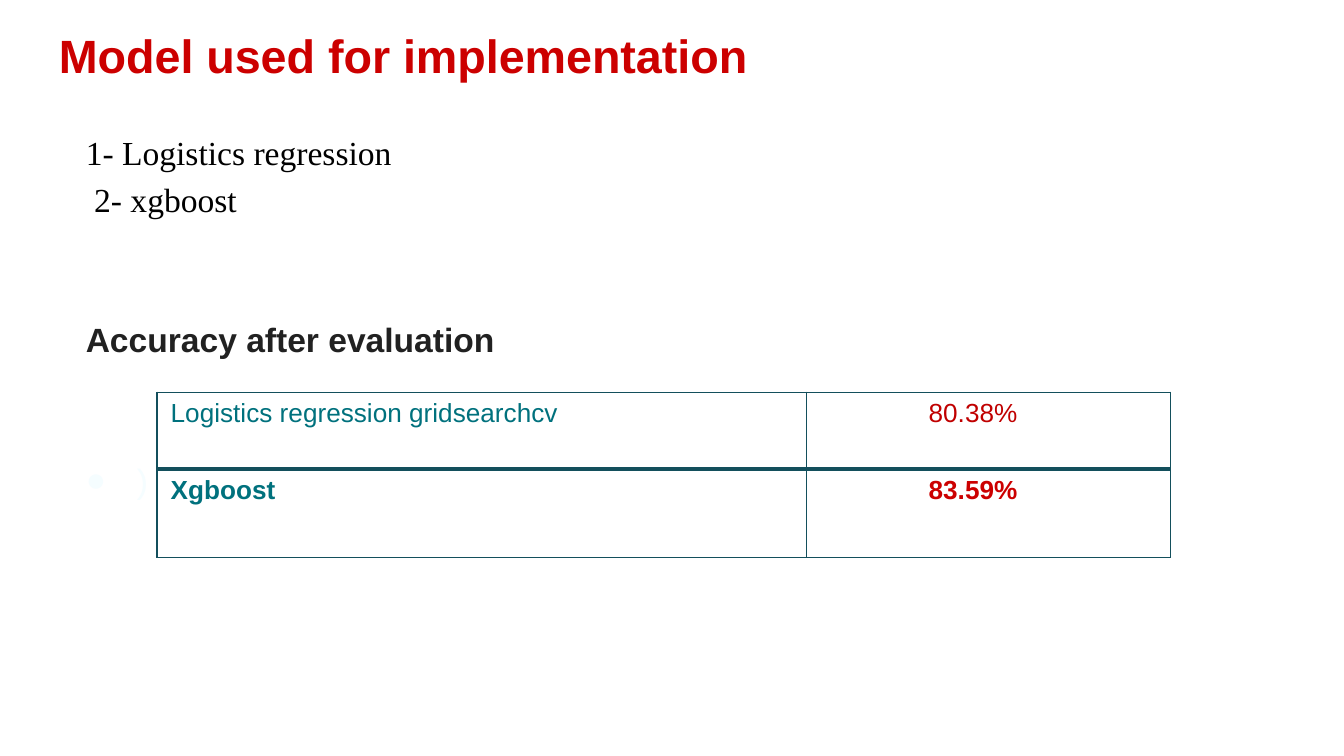
from dataclasses import dataclass

from lxml import etree
from pptx import Presentation
from pptx import util as u
from pptx.dml.color import RGBColor
from pptx.enum import text
from pptx.oxml import ns


@dataclass(frozen=True)
class Theme:
    sans: str = "Arial"
    serif: str = "Times New Roman"
    title_size: int = 25
    body_size: int = 18
    table_size: int = 14
    red: str = "CC0000"
    dark_red: str = "C00000"
    black: str = "000000"
    charcoal: str = "212121"
    teal: str = "00717D"
    border: str = "134F5C"
    pale: str = "F5FDFF"


class SlideBuilder:
    def __init__(self, slide, theme):
        self.slide = slide
        self.theme = theme

    def style(self, paragraph, font, size, color, bold=False):
        paragraph.font.name = font
        paragraph.font.size = u.Pt(size)
        paragraph.font.bold = bold
        paragraph.font.color.rgb = RGBColor.from_string(color)

    def text_box(self, left, top, width, height):
        box = self.slide.shapes.add_textbox(*map(u.Inches, (left, top, width, height)))
        frame = box.text_frame
        frame.word_wrap = True
        frame.vertical_anchor = text.MSO_ANCHOR.TOP
        frame.margin_left = frame.margin_right = u.Inches(0.1)
        frame.margin_top = frame.margin_bottom = u.Inches(0.1)
        return frame

    def title(self, words, *place):
        heading = self.text_box(*place).paragraphs[0]
        heading.text = words
        self.style(heading, self.theme.sans, self.theme.title_size, self.theme.red, True)

    def body(self, lines, *place):
        frame = self.text_box(*place)
        for i, (words, font, color, bold, gap, bullet) in enumerate(lines):
            line = frame.add_paragraph() if i else frame.paragraphs[0]
            line.text = words
            line.line_spacing = 1.15
            line.space_before = u.Pt(gap)
            self.style(line, font, self.theme.body_size, color, bold)
            self.hang(line, bullet, color)

    def hang(self, paragraph, bullet, color):
        props = paragraph._p.get_or_add_pPr()
        props.set("marL", str(u.Inches(0.5)))
        props.set("indent", str(u.Inches(-0.38)))
        if bullet:
            tint = etree.Element(ns.qn("a:buClr"))
            etree.SubElement(tint, ns.qn("a:srgbClr"), val=color)
            face = etree.Element(ns.qn("a:buFont"), typeface=self.theme.sans)
            marks = [tint, face, etree.Element(ns.qn("a:buChar"), char=bullet)]
        else:
            marks = [etree.Element(ns.qn("a:buNone"))]
        # Bullet marks come before the default run properties
        defaults = props.find(ns.qn("a:defRPr"))
        for mark in marks:
            defaults.addprevious(mark)

    def borders(self, cell, **widths):
        props = cell._tc.get_or_add_tcPr()
        for i, side in enumerate("LRTB"):
            line = etree.Element(ns.qn(f"a:ln{side}"), w=str(u.Pt(widths.get(side, 1))))
            fill = etree.SubElement(line, ns.qn("a:solidFill"))
            etree.SubElement(fill, ns.qn("a:srgbClr"), val=self.theme.border)
            props.insert(i, line)

    def table(self, rows, left, top, col_widths, row_heights):
        size = sum(col_widths), sum(row_heights)
        grid = self.slide.shapes.add_table(
            len(rows), len(col_widths), *map(u.Inches, (left, top, *size))).table
        grid.first_row = grid.horz_banding = False
        for column, width in zip(grid.columns, col_widths):
            column.width = u.Inches(width)
        for r, (model, accuracy, accuracy_color, bold) in enumerate(rows):
            grid.rows[r].height = u.Inches(row_heights[r])
            cells = (model, self.theme.teal, 0.1), (accuracy, accuracy_color, 0.91)
            for c, (words, color, margin) in enumerate(cells):
                cell = grid.cell(r, c)
                cell.text = words
                cell.margin_left = u.Inches(margin)
                cell.fill.background()
                self.style(cell.text_frame.paragraphs[0], self.theme.sans,
                           self.theme.table_size, color, bold)
                # Heavy rule between the rows
                self.borders(cell, T=3 if r else 1, B=1 if r == len(rows) - 1 else 3)


def main():
    deck = Presentation()
    # Widescreen, 16:9
    deck.slide_width = u.Inches(10)
    deck.slide_height = deck.slide_width * 9 // 16
    theme = Theme()
    builder = SlideBuilder(deck.slides.add_slide(deck.slide_layouts[6]), theme)

    # Heading
    builder.title("Model used for implementation", 0.34, 0.1, 9.32, 0.82)

    # Models and evaluation heading
    builder.body([
        ("1- Logistics regression", theme.serif, theme.black, False, 0, None),
        (" 2- xgboost", theme.serif, theme.black, False, 0, None),
        ("Accuracy after evaluation", theme.sans, theme.charcoal, True, 50, None),
        (")", theme.sans, theme.pale, False, 51, "●"),
    ], 0.42, 0.84, 9.24, 1.29)

    # Accuracy table
    builder.table([
        ("Logistics regression gridsearchcv", "80.38%", theme.dark_red, False),
        ("Xgboost", "83.59%", theme.red, True),
    ], 1.17, 2.92, (4.83, 2.71), (0.57, 0.66))

    deck.save("out.pptx")


if __name__ == "__main__":
    main()
